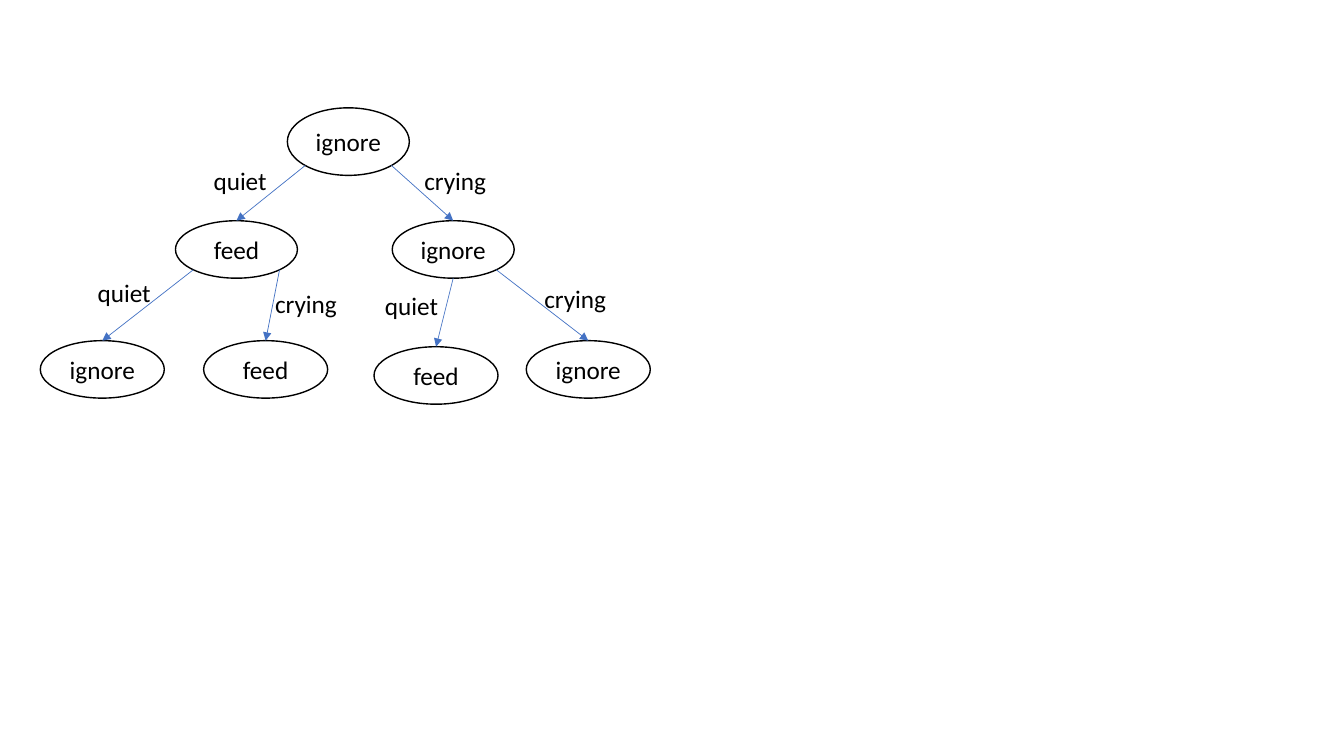
import math
from dataclasses import dataclass

import pptx
import pptx.dml.color
import pptx.enum.shapes
import pptx.enum.text
import pptx.oxml.ns
import pptx.util
from lxml import etree

Inches = pptx.util.Inches
RGBColor = pptx.dml.color.RGBColor
BLACK = RGBColor(0x00, 0x00, 0x00)
WHITE = RGBColor(0xFF, 0xFF, 0xFF)
BLUE = RGBColor(0x44, 0x72, 0xC4)


@dataclass
class Node:
    """An action in the tree; sizes in inches."""
    name: str
    left: float
    top: float
    wide: float = 1.21
    high: float = 0.57


@dataclass
class Edge:
    """An observed state from one node to the next; side is -1, 0 or 1."""
    start: str
    end: str
    side: int
    name: str
    left: float
    top: float


NODES = {
    "root": Node("ignore", 2.85, 1.07, high=0.67),
    "q": Node("feed", 1.74, 2.19),
    "c": Node("ignore", 3.89, 2.19),
    "cc": Node("ignore", 5.22, 3.38, 1.23),
    "qq": Node("ignore", 0.4, 3.38, 1.23),
    "qc": Node("feed", 2.02, 3.38, 1.23),
    "cq": Node("feed", 3.71, 3.44, 1.23),
}
EDGES = [
    Edge("root", "q", -1, "quiet", 2.02, 1.59),
    Edge("root", "c", 1, "crying", 4.11, 1.59),
    Edge("q", "qq", -1, "quiet", 0.87, 2.7),
    Edge("q", "qc", 1, "crying", 2.63, 2.81),
    Edge("c", "cq", 0, "quiet", 3.72, 2.83),
    Edge("c", "cc", 1, "crying", 5.3, 2.76),
]


def write(frame, text: str, *, size=18, font="Calibri", color=BLACK,
          align=pptx.enum.text.PP_ALIGN.LEFT,
          anchor=pptx.enum.text.MSO_ANCHOR.TOP) -> None:
    """Put formatted text in a text frame."""
    frame.word_wrap = True
    frame.vertical_anchor = anchor
    par = frame.paragraphs[0]
    par.alignment = align
    run = par.add_run()
    run.text = text
    run.font.size = pptx.util.Pt(size)
    run.font.name = font
    run.font.color.rgb = color


def add_node(slide, node: Node):
    """Draw an action as an ellipse."""
    oval = slide.shapes.add_shape(
        pptx.enum.shapes.MSO_SHAPE.OVAL, Inches(node.left), Inches(node.top),
        Inches(node.wide), Inches(node.high))
    oval.shadow.inherit = False
    oval.fill.solid()
    oval.fill.fore_color.rgb = WHITE
    oval.line.color.rgb = BLACK
    oval.line.width = pptx.util.Pt(1)
    write(oval.text_frame, node.name, align=pptx.enum.text.PP_ALIGN.CENTER,
          anchor=pptx.enum.text.MSO_ANCHOR.MIDDLE)
    return oval


def add_edge(slide, edge: Edge, ovals: dict) -> None:
    """Draw an arrow from the rim of one node to the top of the next."""
    start, end = NODES[edge.start], NODES[edge.end]
    angle = edge.side * math.pi / 4
    x = start.left + start.wide / 2 * (1 + math.sin(angle))
    y = start.top + start.high / 2 * (1 + math.cos(angle))
    line = slide.shapes.add_connector(
        pptx.enum.shapes.MSO_CONNECTOR.STRAIGHT, Inches(x), Inches(y),
        Inches(end.left + end.wide / 2), Inches(end.top))
    line.end_connect(ovals[edge.end], 0)
    line.line.color.rgb = BLUE
    line.line.width = pptx.util.Pt(0.5)
    qn = pptx.oxml.ns.qn
    etree.SubElement(line.line._get_or_add_ln(), qn("a:tailEnd"),
                     type="triangle")
    etree.SubElement(line._element.spPr, qn("a:effectLst"))


def add_label(slide, edge: Edge) -> None:
    """Write the state beside its arrow."""
    box = slide.shapes.add_textbox(Inches(edge.left), Inches(edge.top),
                                   Inches(1.37), Inches(0.4))
    write(box.text_frame, edge.name)
    box.text_frame.auto_size = pptx.enum.text.MSO_AUTO_SIZE.SHAPE_TO_FIT_TEXT


def main() -> None:
    """Build and save the tree slide."""
    deck = pptx.Presentation()
    deck.slide_width, deck.slide_height = Inches(13.33), Inches(7.5)
    slide = deck.slides.add_slide(deck.slide_layouts[6])
    ovals = {key: add_node(slide, node) for key, node in NODES.items()}
    for edge in EDGES:
        add_edge(slide, edge, ovals)
    for edge in EDGES:
        add_label(slide, edge)
    deck.save("out.pptx")


main()
